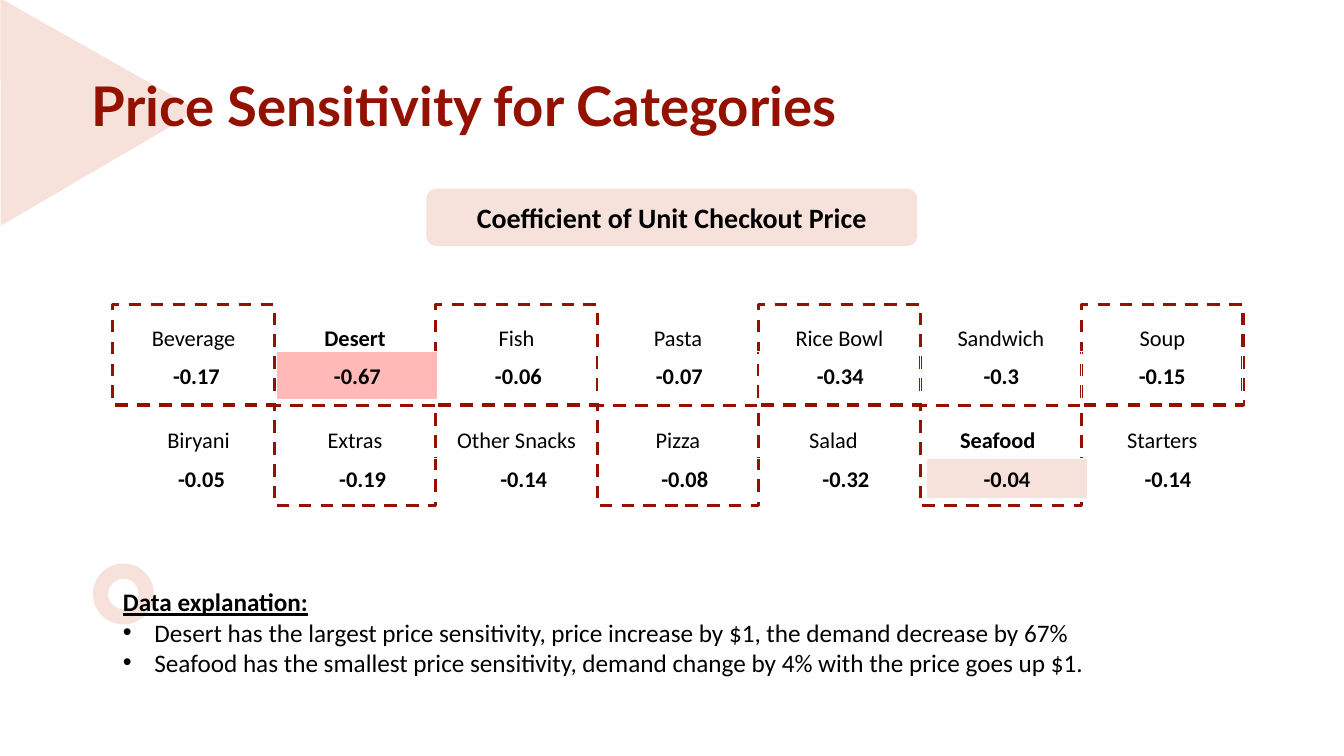
from lxml import etree
from pptx import Presentation
from pptx.dml.color import RGBColor
from pptx.enum import dml, shapes, text
from pptx.oxml import ns
from pptx.util import Pt

COLORS = {"red": "941100", "blush": "F7E2DB", "pink": "FFB9B6",
          "black": "000000", "white": "FFFFFF"}
LEFT, COL_W, ROW_H = 80.6, 115.33, 72
FRAME_TOPS = (217.4, 289.4)
LABEL_TOPS = (227.5, 301)
CATEGORIES = (
    ("Beverage", "Desert", "Fish", "Pasta", "Rice Bowl", "Sandwich", "Soup"),
    ("Biryani", "Extras", "Other Snacks", "Pizza", "Salad", "Seafood", "Starters"),
)
COEFFICIENTS = (
    ("-0.17", "-0.67", "-0.06", "-0.07", "-0.34", "-0.3", "-0.15"),
    ("-0.05", "-0.19", "-0.14", "-0.08", "-0.32", "-0.04", "-0.14"),
)
TABLE_BOXES = ((82.8, 251.3, 805, 35.3), (86.4, 327.6, 805.5, 29.5))
HIGHLIGHTS = {"Desert": "pink", "Seafood": "blush"}
NUDGES = {"Biryani": 3.6, "Salad": -4.3, "Seafood": -2.2}
EXPLANATIONS = (
    "Desert has the largest price sensitivity, price increase by $1, the demand decrease by 67%",
    "Seafood has the smallest price sensitivity, demand change by 4% with the price goes up $1.",
)


def rgb(name):
    return RGBColor.from_string(COLORS[name])


def lengths(box):
    return [Pt(v) for v in box]


def place(shape, box):
    shape.left, shape.top, shape.width, shape.height = lengths(box)


def style(p, size, bold=False, color="black", name="Calibri", align=text.PP_ALIGN.CENTER):
    p.alignment = align
    p.font.size, p.font.bold, p.font.name = Pt(size), bold, name
    p.font.color.rgb = rgb(color)


def add_filled(s, kind, box, color="blush"):
    sp = s.shapes.add_shape(kind, *lengths(box))
    sp.shadow.inherit = False
    sp.fill.solid()
    sp.fill.fore_color.rgb = rgb(color)
    sp.line.fill.background()
    return sp


def add_frame(s, box):
    sp = s.shapes.add_shape(shapes.MSO_SHAPE.RECTANGLE, *lengths(box))
    sp.shadow.inherit = False
    sp.fill.background()
    sp.line.color.rgb = rgb("red")
    sp.line.width = Pt(2.25)
    sp.line.dash_style = dml.MSO_LINE.DASH


def add_label(s, words, box, bold):
    tf = s.shapes.add_textbox(*lengths(box)).text_frame
    tf.word_wrap = True
    tf.vertical_anchor = text.MSO_ANCHOR.MIDDLE
    tf.text = words
    style(tf.paragraphs[0], 16, bold)


def add_borders(cell):
    tc_pr = cell._tc.get_or_add_tcPr()
    for side, width in (("L", 1), ("R", 1), ("T", 1), ("B", 3)):
        ln = etree.SubElement(tc_pr, ns.qn(f"a:ln{side}"), w=str(Pt(width)))
        fill = etree.SubElement(ln, ns.qn("a:solidFill"))
        etree.SubElement(fill, ns.qn("a:srgbClr"), val=COLORS["white"])


def add_coefficients(s, names, values, box):
    table = s.shapes.add_table(1, len(values), *lengths(box)).table
    table.first_row = table.horz_banding = False
    for name, value, cell in zip(names, values, table.iter_cells()):
        add_borders(cell)
        if name in HIGHLIGHTS:
            cell.fill.solid()
            cell.fill.fore_color.rgb = rgb(HIGHLIGHTS[name])
        else:
            cell.fill.background()
        cell.margin_left = cell.margin_right = cell.margin_top = Pt(0.7)
        cell.margin_bottom = 0
        cell.vertical_anchor = text.MSO_ANCHOR.MIDDLE
        cell.text = value
        style(cell.text_frame.paragraphs[0], 16, True)


def set_bullet(p, char=None, indent=0):
    p_pr = p._p.get_or_add_pPr()
    p_pr.set("marL", str(Pt(indent)))
    p_pr.set("indent", str(-Pt(indent)))
    bullet = etree.Element(ns.qn("a:buChar" if char else "a:buNone"))
    if char:
        bullet.set("char", char)
    p_pr.find(ns.qn("a:defRPr")).addprevious(bullet)


def fill_title(title):
    place(title, (58.3, 24.5, 894.2, 106.6))
    tf = title.text_frame
    tf.text = "Price Sensitivity for Categories"
    tf.auto_size = text.MSO_AUTO_SIZE.NONE
    tf.vertical_anchor = text.MSO_ANCHOR.MIDDLE
    p = tf.paragraphs[0]
    style(p, 39, True, "red", "Lato", text.PP_ALIGN.LEFT)
    p.line_spacing = 0.9


def fill_explanation(body):
    place(body, (LEFT, 415.4, 835.2, 72.7))
    tf = body.text_frame
    tf.text = "\n".join(("Data explanation:",) + EXPLANATIONS)
    tf.auto_size = text.MSO_AUTO_SIZE.NONE
    for i, p in enumerate(tf.paragraphs):
        heading = i == 0
        style(p, 18, heading, align=text.PP_ALIGN.LEFT)
        p.font.underline = heading
        p.space_before = Pt(0)
        if heading:
            set_bullet(p)
        else:
            set_bullet(p, "•", 22.5)


def add_heading(s):
    sp = add_filled(s, shapes.MSO_SHAPE.ROUNDED_RECTANGLE, (304.6, 134.8, 350.6, 41))
    tf = sp.text_frame
    tf.text = "Coefficient of Unit Checkout Price"
    tf.vertical_anchor = text.MSO_ANCHOR.MIDDLE
    style(tf.paragraphs[0], 20, True)


def main():
    prs = Presentation()
    prs.slide_width, prs.slide_height = Pt(960), Pt(540)
    s = prs.slides.add_slide(prs.slide_layouts[1])
    title, body = s.placeholders
    fill_title(title)
    fill_explanation(body)

    triangle = add_filled(s, shapes.MSO_SHAPE.ISOSCELES_TRIANGLE, (-46, -10.8, 163.4, 140.4))
    triangle.rotation = 329.7
    title.element.addprevious(triangle.element)
    donut = add_filled(s, shapes.MSO_SHAPE.DONUT, (66.4, 402.5, 43.5, 43.5))
    body.element.addprevious(donut.element)

    add_heading(s)
    for row, names in enumerate(CATEGORIES):
        for col, name in enumerate(names):
            x = LEFT + col * COL_W
            if (row + col) % 2 == 0:
                add_frame(s, (x, FRAME_TOPS[row], COL_W, ROW_H))
            add_label(s, name, (x + NUDGES.get(name, 0), LABEL_TOPS[row], COL_W, 26.6),
                      name in HIGHLIGHTS)
    for names, values, box in zip(CATEGORIES, COEFFICIENTS, TABLE_BOXES):
        add_coefficients(s, names, values, box)
    prs.save("out.pptx")


if __name__ == "__main__":
    main()
